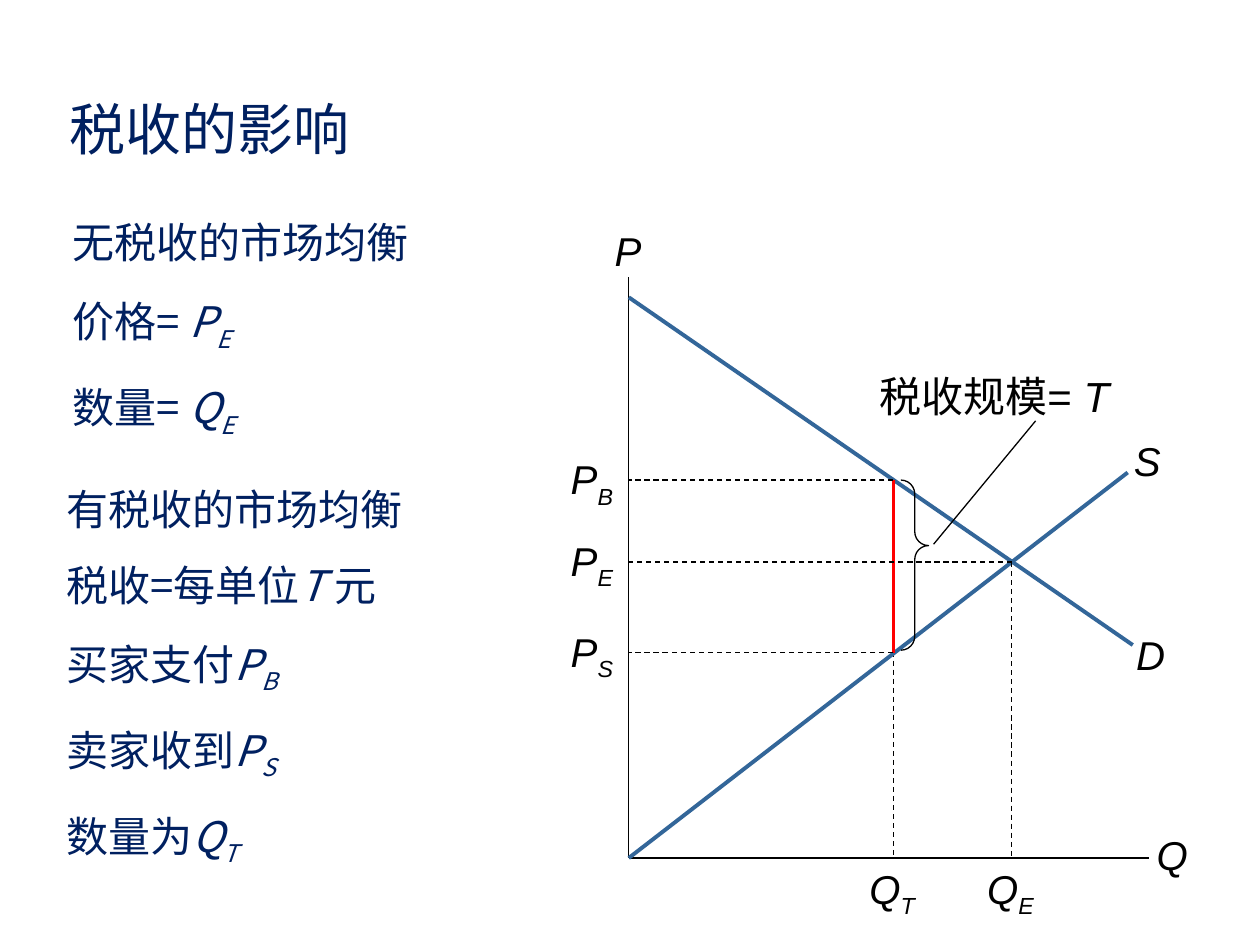
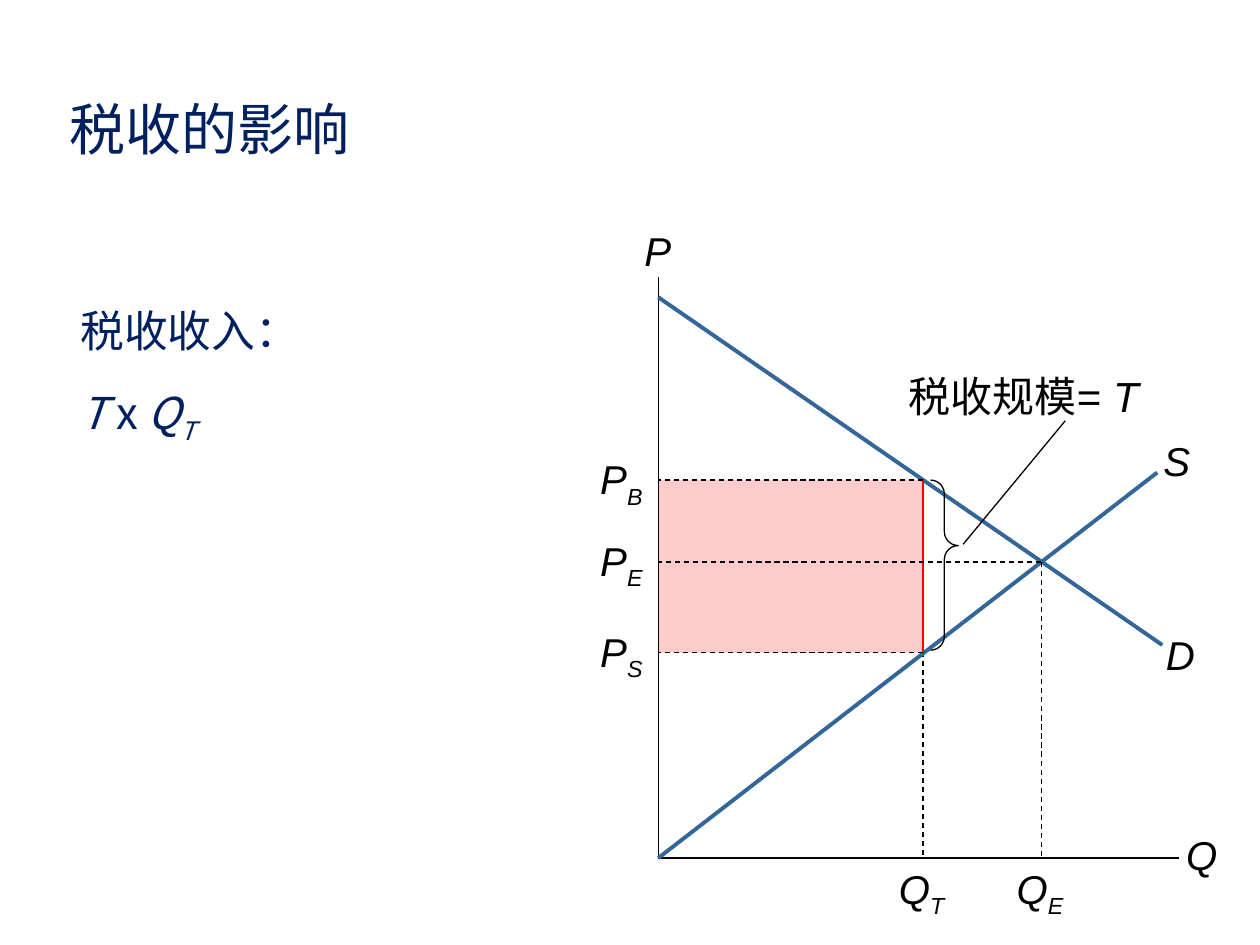
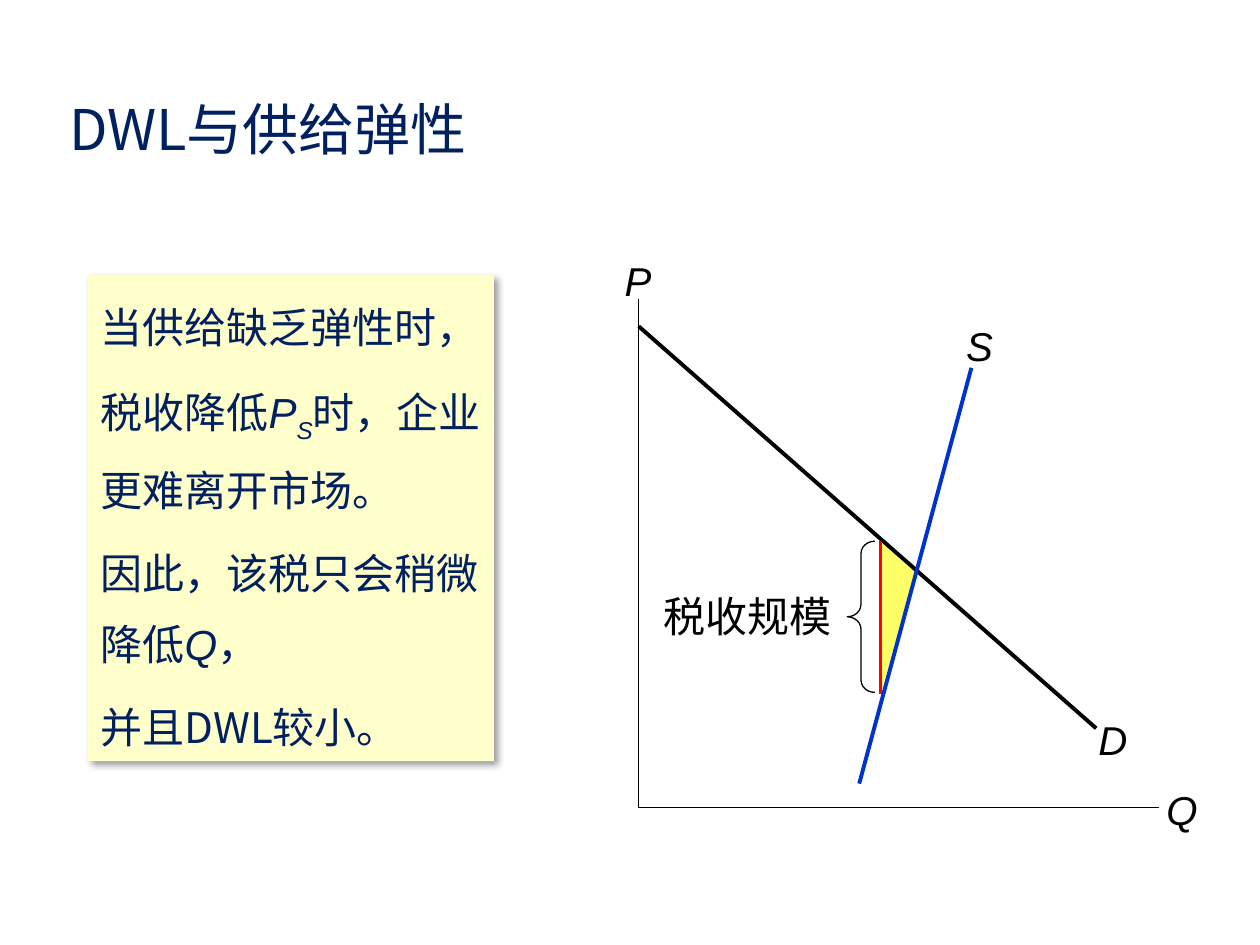
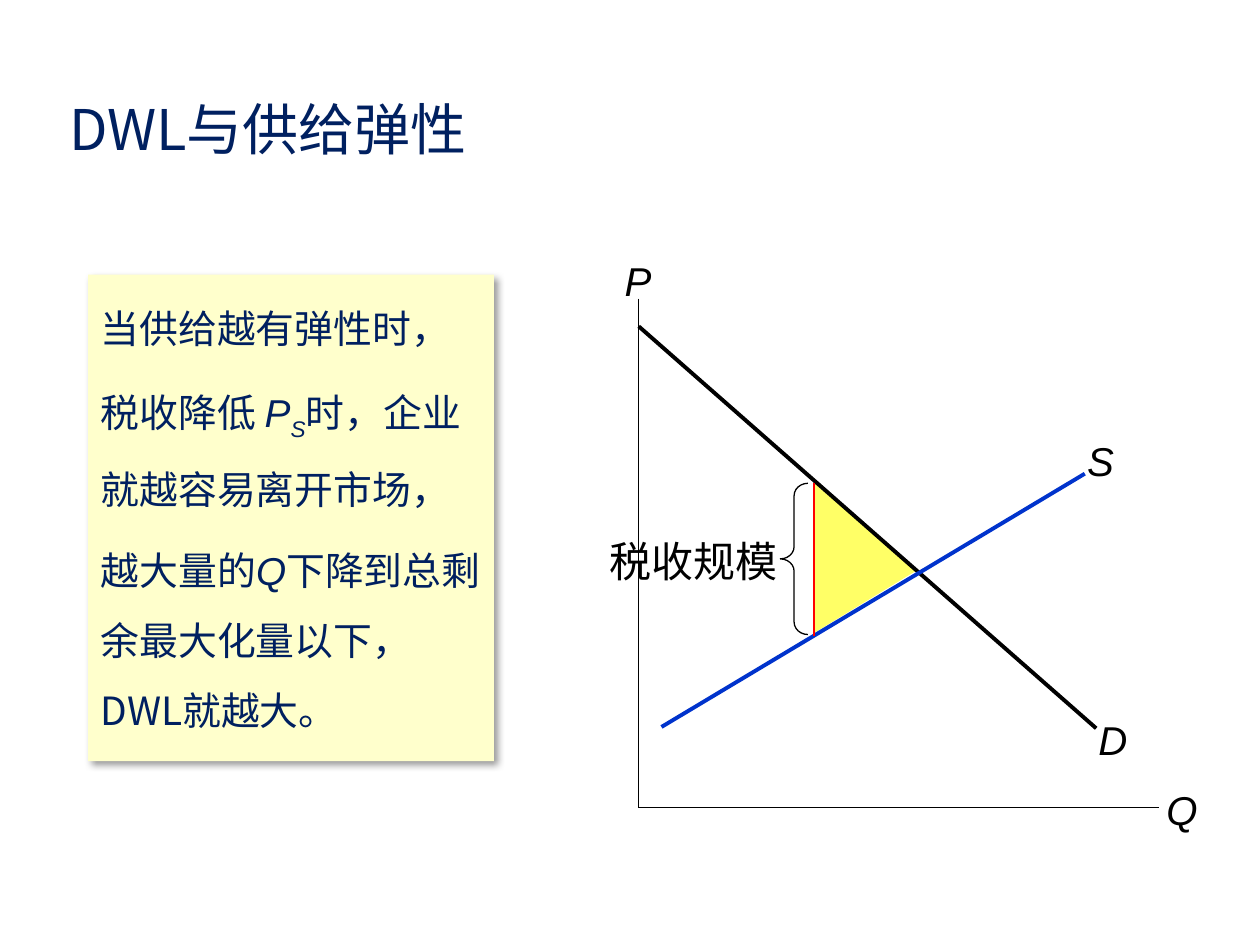
from lxml.etree import SubElement
from pptx import Presentation
from pptx.dml.color import RGBColor
from pptx.enum.dml import MSO_LINE
from pptx.enum.shapes import MSO_CONNECTOR, MSO_SHAPE
from pptx.enum.text import MSO_ANCHOR, MSO_AUTO_SIZE, PP_ALIGN
from pptx.oxml.ns import qn
from pptx.util import Pt

HUE = {
    "navy": "002060",
    "ink": "000000",
    "white": "FFFFFF",
    "steel": "336699",
    "blue": "0033CC",
    "red": "FF0000",
    "pink": "FFCCCC",
    "cream": "FFFFCC",
    "gold": "FFFF66",
}
SANS = "Arial"
HAN = "Noto Sans CJK SC"


def rgb(name):
    return RGBColor.from_string(HUE[name])


def add_run(para, part, size, color, font, slant):
    mark = part[0] if part[0] in "*_" else ""
    run = para.add_run()
    run.text = part[len(mark):]
    face = run.font
    face.size = Pt(size)
    face.color.rgb = rgb(color)
    face.name = slant if mark else font
    face.italic = bool(mark)
    props = run._r.get_or_add_rPr()
    if mark == "_":
        props.set("baseline", "-25000")
    SubElement(props, qn("a:ea")).set("typeface", HAN)


def put_text(frame, lines, size=24, color="navy", font=HAN, slant=None,
             align=PP_ALIGN.LEFT, space=None, before=0):
    """Parts are split by |; * marks italics and _ an italic subscript."""
    frame.vertical_anchor = MSO_ANCHOR.TOP
    for num, line in enumerate(lines):
        para = frame.paragraphs[0] if num == 0 else frame.add_paragraph()
        para.alignment = align
        para.line_spacing = space
        if before:
            para.space_before = Pt(0)
            gap = para._p.pPr.find(qn("a:spcBef"))
            gap.remove(gap[0])
            SubElement(gap, qn("a:spcPct")).set("val", str(before * 1000))
        for part in line.split("|"):
            add_run(para, part, size, color, font, slant or font)


def text_box(slide, box, lines, wrap=True, **form):
    frame = slide.shapes.add_textbox(*map(Pt, box)).text_frame
    frame.word_wrap = wrap
    frame.auto_size = MSO_AUTO_SIZE.SHAPE_TO_FIT_TEXT
    put_text(frame, lines, **form)


def label(slide, x, y, words, width=28.8):
    text_box(slide, (x, y, width, 34.6), [words], size=23, color="ink",
             font=SANS, align=PP_ALIGN.CENTER, before=50)


def shape(slide, kind, box, fill=None, line=None, width=0.75):
    item = slide.shapes.add_shape(kind, *map(Pt, box))
    item.shadow.inherit = False
    if fill:
        item.fill.solid()
        item.fill.fore_color.rgb = rgb(fill)
    else:
        item.fill.background()
    if line:
        item.line.color.rgb = rgb(line)
        item.line.width = Pt(width)
    else:
        item.line.fill.background()
    return item


def line(slide, start, end, color="ink", width=0.75, dash=False):
    item = slide.shapes.add_connector(
        MSO_CONNECTOR.STRAIGHT, *map(Pt, (*start, *end)))
    item.line.color.rgb = rgb(color)
    item.line.width = Pt(width)
    if dash:
        item.line.dash_style = MSO_LINE.DASH
    SubElement(item._element.spPr, qn("a:effectLst"))


def brace(slide, x, y, height, curl, point, turn=0):
    item = shape(slide, MSO_SHAPE.LEFT_BRACE, (x, y, 15.8, height), line="ink")
    item.adjustments[0] = curl
    item.adjustments[1] = point
    item.rotation = turn


def new_slide(deck, title, width, panel):
    slide = deck.slides.add_slide(deck.slide_layouts[6])
    shape(slide, MSO_SHAPE.RECTANGLE, panel, "white", "white", 2)
    text_box(slide, (32.4, 50.4, width, 46), [title], wrap=False, size=32)
    return slide


def axes(slide, x, top, base, name_y, tag_y):
    line(slide, (x, top), (x, base))
    line(slide, (x, base), (x + 297.5, base))
    label(slide, x - 15.1, name_y, "*P")
    label(slide, x + 294.5, tag_y, "*Q")


def market(slide, x, shade=False):
    base, high, even, low = 490.3, 274.3, 321.1, 373
    tax, mid = x + 151.2, x + 218.9
    line(slide, (tax, high), (tax, base), dash=True)
    if shade:
        shape(slide, MSO_SHAPE.RECTANGLE, (x, high, tax - x, low - high), "pink")
    axes(slide, x, 158.4, base, 126, 470.9)
    label(slide, x + 282.9, 356.4, "*D")
    line(slide, (x, 169.9), (x + 288, 368.6), "steel", 2.25)
    label(slide, x + 281.5, 245.5, "*S")
    line(slide, (x, base), (x + 285.1, 270), "steel", 2.25)
    line(slide, (tax, high), (tax, low), "red", 1.5)
    for sub, y, end in (("S", low, tax), ("B", high, tax), ("E", even, mid)):
        label(slide, x - 42, y - 18, "*P|_" + sub, 41.8)
        line(slide, (end, y), (x, y), dash=True)
    line(slide, (mid, even), (mid, base), dash=True)
    for sub, spot in (("T", tax), ("E", mid)):
        label(slide, spot - 23.8, base, "*Q|_" + sub, 46.1)
    brace(slide, tax + 4.3, high, 97.2, 0.504, 0.615, 180)
    text_box(slide, (x + 136.1, 208.1, 184.3, 36), ["税收规模= |*T"],
             color="ink", font=SANS, before=50)
    line(slide, (x + 174.2, 311), (x + 232.5, 240.5))


def note(slide, lines, **form):
    item = shape(slide, MSO_SHAPE.RECTANGLE, (50.4, 157, 231.8, 277.9), "cream")
    glow = SubElement(item._element.spPr.find(qn("a:effectLst")),
                      qn("a:outerShdw"), blurRad=str(Pt(4)), dist=str(Pt(3)),
                      dir="2700000", algn="tl", rotWithShape="0")
    tint = SubElement(glow, qn("a:srgbClr"), val=HUE["ink"])
    SubElement(tint, qn("a:alpha"), val="40000")
    item.text_frame.word_wrap = True
    put_text(item.text_frame, lines, slant=SANS, before=30, **form)


def loss(slide, tax, top, upper, lower, supply, tag, size):
    wide = MSO_SHAPE.RIGHT_TRIANGLE
    shape(slide, wide, (tax + 0.7, top + 0.7, *upper), "gold")
    flip = shape(slide, wide, (tax + 0.7, 325.4, *lower), "gold")
    flip._element.spPr.xfrm.set("flipV", "1")
    axes(slide, 365, 170.6, 461.5, 142.6, 445)
    label(slide, 620.6, 405.4, "*D")
    line(slide, (365, 186.5), (626.4, 416.2), "ink", 2.25)
    label(slide, *tag, "*S")
    line(slide, *supply, "blue", 2.25)
    line(slide, (tax, top), (tax, top + 87.8), "red", 1.5)
    brace(slide, tax - 19.2, top + 0.4, 86.4, 0.448, 0.5)
    text_box(slide, (*size, 110.9, 36.7), ["税收规模"], color="ink",
             font=SANS, align=PP_ALIGN.RIGHT, before=50)


def main():
    deck = Presentation()
    deck.slide_width, deck.slide_height = Pt(720), Pt(540)

    effect = "税收的影响", 176.4
    slide = new_slide(deck, *effect, (317.5, 126, 383, 398.9))
    text_box(slide, (31, 258.5, 318.2, 225.4), [
        "有税收的市场均衡", "税收=每单位|*T |元", "买家支付|*P|_B",
        "卖家收到|*P|_S", "数量为|*Q|_T"], space=1.5)
    text_box(slide, (34.6, 105.8, 318.2, 138.2), [
        "无税收的市场均衡", "价格=|* P|_E", "数量=|* Q|_E"], space=1.5)
    market(slide, 359.3)

    slide = new_slide(deck, *effect, (329, 126, 383, 398.9))
    text_box(slide, (38.9, 154.8, 318.2, 97.9),
             ["税收收入：", "*T| x |*Q|_T"], size=25, space=1.5)
    market(slide, 376.2, shade=True)

    supply = "DWL与供给弹性", 249.8, (331.9, 126, 362.9, 357.1)
    slide = new_slide(deck, *supply)
    note(slide, ["当供给缺乏弹性时，", "税收降低|*P|_S|时，企业更难离开市场。",
                 "因此，该税只会稍微降低|*Q|，", "并且DWL较小。"], space=1.4)
    loss(slide, 503.3, 308.9, (19.4, 16.6), (19.4, 68.4),
         ((491, 447.8), (555.1, 210.2)), (545, 180), (371.5, 334.1))

    slide = new_slide(deck, *supply)
    note(slide, ["当供给越有弹性时，", "税收降低|* P|_S|时，企业就越容易离开市场，",
                 "越大量的|*Q|下降到总剩余最大化量以下，DWL就越大。"],
         size=22.2, space=1.5)
    loss(slide, 465.1, 275.8, (57.6, 49.7), (59, 36),
         ((378, 415.4), (619.9, 270.7)), (614.2, 245.5), (340.6, 302.4))

    deck.save("out.pptx")


if __name__ == "__main__":
    main()
